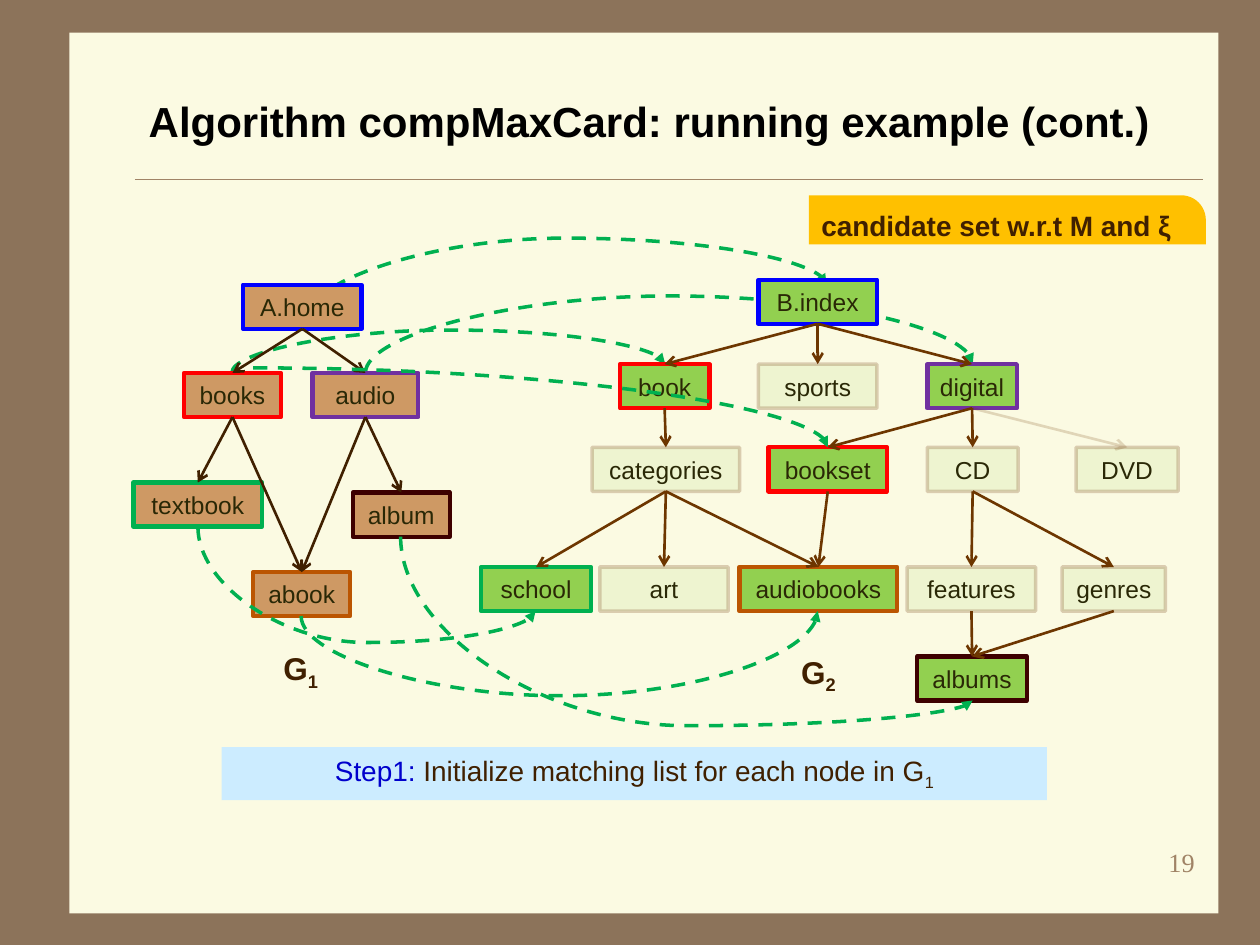
"""Build the running example slide with two graphs and their candidate matches."""
from lxml.etree import SubElement
from pptx import Presentation
from pptx.dml.color import RGBColor
from pptx.enum.dml import MSO_LINE
from pptx.enum.shapes import MSO_CONNECTOR as CONNECTOR, MSO_SHAPE as SHAPE
from pptx.enum.text import MSO_ANCHOR as ANCHOR, PP_ALIGN as ALIGN
from pptx.oxml.ns import qn
from pptx.util import Inches, Pt

rgb = RGBColor.from_string


def style_line(shape, color, width, alpha=100, dash=None, arrow=None):
    line = shape.line
    line.color.rgb = rgb(color)
    line.width = Pt(width)
    if dash:
        line.dash_style = dash
    outline = shape._element.spPr.find(qn("a:ln"))
    if alpha < 100:
        SubElement(outline.find(".//" + qn("a:srgbClr")), qn("a:alpha"), val=str(alpha * 1000))
    if arrow:
        SubElement(outline, qn("a:tailEnd"), type=arrow)
    if shape._element.spPr.find(qn("a:effectLst")) is None:
        SubElement(shape._element.spPr, qn("a:effectLst"))


def write_text(shape, runs, size, align=ALIGN.LEFT, anchor=ANCHOR.TOP, wrap=True, font="Arial", bold=False):
    frame = shape.text_frame
    frame.word_wrap = wrap
    frame.vertical_anchor = anchor
    paragraph = frame.paragraphs[0]
    paragraph.alignment = align
    for text, color, baseline in runs:
        run = paragraph.add_run()
        run.text = text
        formats = {"name": font, "size": Pt(size), "bold": bold}
        for name, value in formats.items():
            setattr(run.font, name, value)
        run.font.color.rgb = rgb(color)
        if baseline:
            run.font._element.set("baseline", str(baseline * 1000))


presentation = Presentation()
presentation.slide_width = Inches(10)
presentation.slide_height = Inches(7.5)
slide = presentation.slides.add_slide(presentation.slide_layouts[5])
shapes = slide.shapes
slide.background.fill.solid()
slide.background.fill.fore_color.rgb = rgb("8C735A")

page = shapes.add_shape(SHAPE.RECTANGLE, Inches(0.55), Inches(0.26), Inches(9.12), Inches(6.99))
page.shadow.inherit = False
page.fill.solid()
page.fill.fore_color.rgb = rgb("FBFAE2")
page.line.fill.background()
rule = shapes.add_connector(CONNECTOR.STRAIGHT, Inches(1.07), Inches(1.42), Inches(9.55), Inches(1.42))
style_line(rule, "A08366", 0.25)

title = shapes.title
title_box = {"left": 1.08, "top": 0.5, "width": 8.5, "height": 0.91}
for name, value in title_box.items():
    setattr(title, name, Inches(value))
write_text(title, [("Algorithm compMaxCard: running example (cont.)", "000000", 0)], 24,
           anchor=ANCHOR.MIDDLE, bold=True)
shapes._spTree.append(title._element)

upper_matches = [
    (2.9, 2.96, 7.72, 2.89, 2.35),
    (1.84, 2.96, 5.28, 2.89, 2.62),
    (2.4, 2.57, 6.56, 2.26, 1.89),
]
lower_matches = [
    (1.57, 4.18, 4.25, 4.85, 5.1),
    (2.39, 4.89, 6.49, 4.85, 5.52),
    (3.18, 4.26, 7.72, 5.56, 5.76),
]
match_style = {"color": "00B050", "width": 2, "dash": MSO_LINE.DASH, "arrow": "triangle"}
first_graph = [
    ("A.home", 1.93, 2.26, 0.94, "0000FF"),
    ("books", 1.46, 2.96, 0.77, "FF0000"),
    ("audio", 2.48, 2.96, 0.84, "7030A0"),
    ("textbook", 1.06, 3.83, 1.02, "00B050"),
    ("abook", 2.01, 4.54, 0.77, "BB5501"),
    ("album", 2.8, 3.91, 0.77, "3E0000"),
]
second_graph = [
    ("B.index", 6.02, 2.22, 0.94, "0000FF"),
    ("book", 4.92, 2.89, 0.71, "FF0000"),
    ("sports", 6.02, 2.89, 0.94, None),
    ("digital", 7.36, 2.89, 0.71, "7030A0"),
    ("categories", 4.7, 3.55, 1.17, None),
    ("art", 4.76, 4.5, 1.02, None),
    ("school", 3.82, 4.5, 0.87, "00B050"),
    ("audiobooks", 5.87, 4.5, 1.25, "BB5501"),
    ("bookset", 6.1, 3.55, 0.94, "FF0000"),
    ("DVD", 8.54, 3.55, 0.81, None),
    ("CD", 7.36, 3.55, 0.72, None),
    ("features", 7.2, 4.5, 1.02, None),
    ("genres", 8.43, 4.5, 0.82, None),
    ("albums", 7.28, 5.21, 0.87, "3E0000"),
]
first_edges = {"A.home": ["books", "audio"], "books": ["textbook", "abook"], "audio": ["album", "abook"]}
second_edges = {
    "B.index": ["book", "sports", "digital"],
    "book": ["categories"],
    "categories": ["art", "school", "audiobooks"],
    "bookset": ["audiobooks"],
    "digital": ["bookset", "CD", "DVD"],
    "CD": ["features", "genres"],
    "features": ["albums"],
    "genres": ["albums"],
}
layers = [
    (upper_matches, first_graph, "CE9964", first_edges, "402000"),
    ([], second_graph, "92D050", second_edges, "6D3600"),
    (lower_matches, [], None, {}, None),
]
nodes = {}
for matches, graph, fill, edges, edge_color in layers:
    for start_x, start_y, end_x, end_y, bend_y in matches:
        rise, span = end_y - start_y, end_x - start_x
        middle_x, middle_y = (start_x + end_x) / 2, (start_y + end_y) / 2
        half_width, half_height = abs(rise) / 2, span / 2
        vertical = half_height if rise < 0 else -half_height
        curve = shapes.add_connector(
            CONNECTOR.CURVE, Inches(middle_x + half_width), Inches(middle_y + vertical),
            Inches(middle_x - half_width), Inches(middle_y - vertical))
        properties = curve._element.spPr
        properties.find(qn("a:xfrm")).set("rot", str((90 if rise < 0 else 270) * 60000))
        adjustments = properties.find(qn("a:prstGeom")).get_or_add_avLst()
        bend = round((bend_y - start_y) / rise * 100000)
        SubElement(adjustments, qn("a:gd"), name="adj1", fmla=f"val {bend}")
        style_line(curve, **match_style)

    for label, left, top, width, border in graph:
        node = shapes.add_shape(SHAPE.RECTANGLE, Inches(left), Inches(top), Inches(width), Inches(0.35))
        node.shadow.inherit = False
        node.fill.solid()
        node.fill.fore_color.rgb = rgb(fill)
        if border:
            style_line(node, border, 2.5)
        else:
            fill_color = node._element.spPr.find(qn("a:solidFill")).find(qn("a:srgbClr"))
            SubElement(fill_color, qn("a:alpha"), val="12000")
            style_line(node, "98714A", 2, alpha=33)
        write_text(node, [(label, "2A2806", 0)], 14, ALIGN.CENTER, ANCHOR.MIDDLE, wrap=False)
        nodes[label] = node

    for parent, children in edges.items():
        for child in children:
            edge = shapes.add_connector(CONNECTOR.STRAIGHT, 0, 0, 0, 0)
            edge.begin_connect(nodes[parent], 2)
            edge.end_connect(nodes[child], 0)
            style_line(edge, edge_color, 1.5, alpha=19 if child == "DVD" else 100, arrow="arrow")

bookset_match = shapes.add_connector(CONNECTOR.CURVE, Inches(2.01), Inches(2.92), Inches(6.57), Inches(3.55))
bookset_match._element.spPr.find(qn("a:prstGeom")).set("prst", "curvedConnector2")
style_line(bookset_match, **match_style)

step_runs = [("Step1:", "0000CC", 0), (" Initialize matching list for each node in G", "402000", 0),
             ("1", "402000", -25)]
candidate_runs = [("candidate set w.r.t M and ξ", "402000", 0)]
banners = [
    (SHAPE.RECTANGLE, 1.76, 5.93, 6.55, 0.42, "CCECFF", step_runs, ALIGN.CENTER, 1, False),
    (SHAPE.ROUND_1_RECTANGLE, 6.42, 1.55, 3.15, 0.39, "FFC000", candidate_runs, ALIGN.LEFT, 1.2, True),
]
for kind, left, top, width, height, fill, runs, align, spacing, bold in banners:
    banner = shapes.add_shape(kind, Inches(left), Inches(top), Inches(width), Inches(height))
    banner.shadow.inherit = False
    banner.fill.solid()
    banner.fill.fore_color.rgb = rgb(fill)
    banner.line.fill.background()
    if kind == SHAPE.ROUND_1_RECTANGLE:
        banner.adjustments[0] = 0.5
    write_text(banner, runs, 16, align, bold=bold)
    banner.text_frame.paragraphs[0].line_spacing = spacing

for number, left, top in [("1", 2.15, 5.1), ("2", 6.26, 5.13)]:
    graph_label = shapes.add_textbox(Inches(left), Inches(top), Inches(0.49), Inches(0.4))
    write_text(graph_label, [("G", "402000", 0), (number, "402000", -25)], 18, wrap=False, bold=True)

page_number = shapes.add_textbox(Inches(7.5), Inches(6.67), Inches(2.08), Inches(0.5))
write_text(page_number, [("19", "A08366", 0)], 15, ALIGN.RIGHT, font="Times New Roman")

presentation.save("out.pptx")
